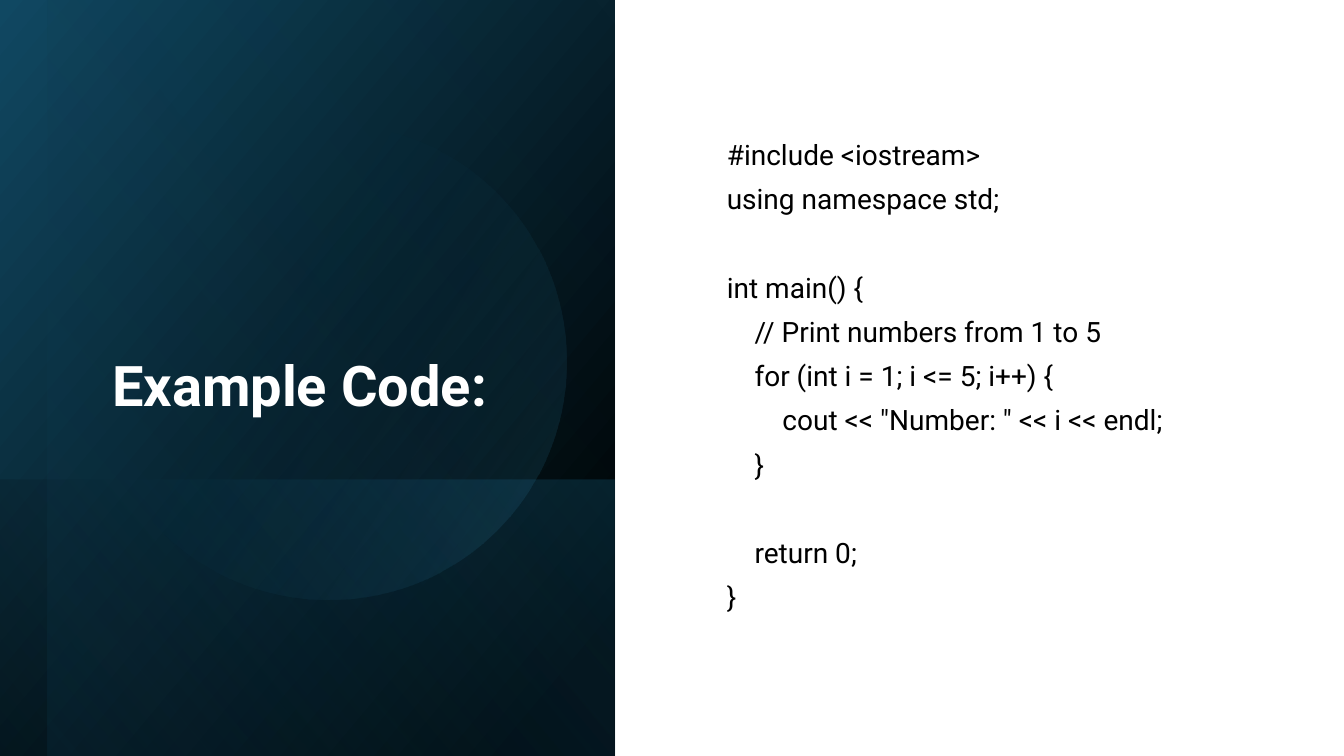
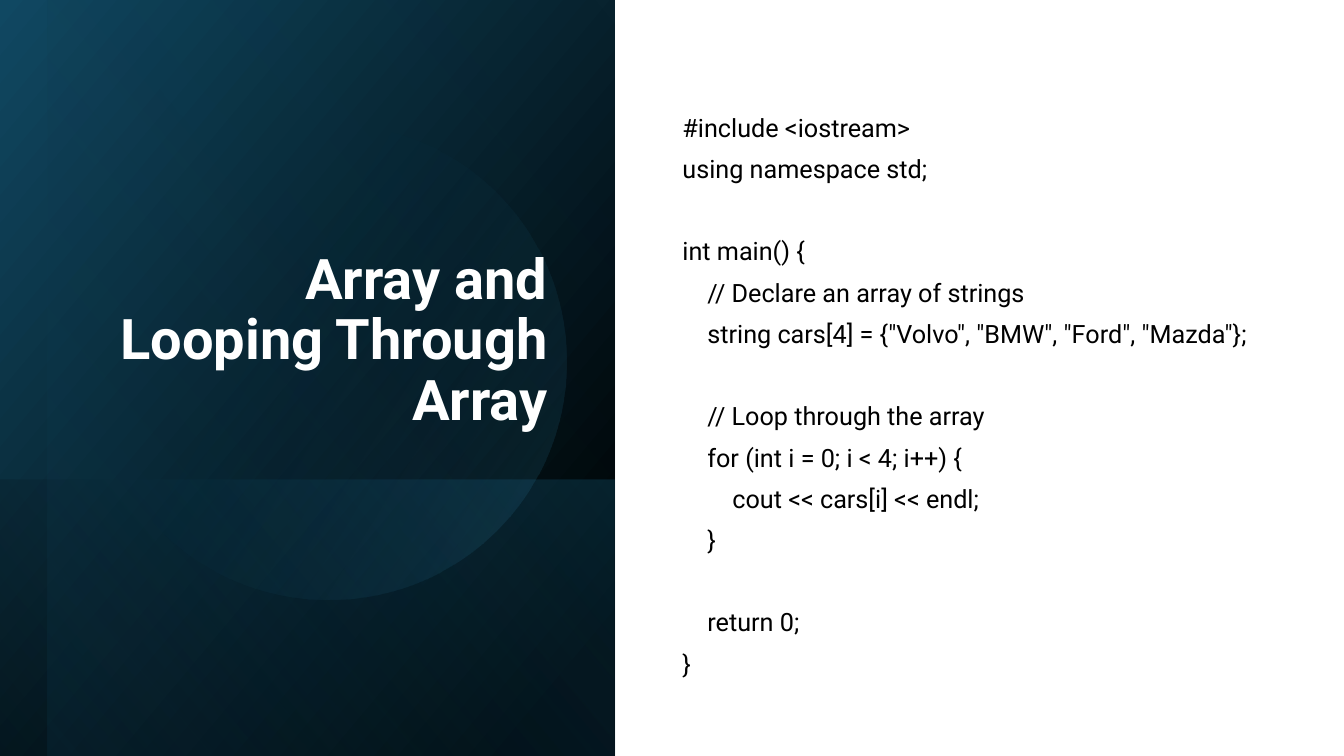
"""Build two code-example slides with a shared gradient side panel."""
import lxml.etree
import pptx
import pptx.dml.color
import pptx.enum.shapes
import pptx.enum.text
import pptx.oxml.ns
import pptx.util
from pptx.util import Inches, Pt

THEME = {
    "font": "Roboto",
    "black": "000000",
    "white": "FFFFFF",
    "navy": "104862",
    "teal": "156082",
    "sky": "46B1E1",
    "title_size": 40,
    "line_spacing": 0.9,
    "line_height": 1.08,
    "paragraph_gap": 10,
}

RECTANGLE = pptx.enum.shapes.MSO_SHAPE.RECTANGLE
OVAL = pptx.enum.shapes.MSO_SHAPE.OVAL

PANEL = [
    {"kind": RECTANGLE, "at": (0, 0, 6.1, 7.5), "angle": 220,
     "stops": [(0.08, "black", 100), (1, "navy", 100)]},
    {"kind": RECTANGLE, "at": (0, 4.76, 6.09, 2.74), "angle": 140,
     "stops": [(0.02, "teal", 29), (1, "black", 30)]},
    {"kind": RECTANGLE, "at": (0.47, 0, 5.63, 7.5), "angle": 140,
     "stops": [(0, "black", 0), (0.99, "teal", 11)]},
    {"kind": OVAL, "at": (0.9, 1.23, 4.72, 4.72), "angle": 31.6,
     "stops": [(0.39, "teal", 0), (1, "sky", 15)]},
]

SLIDES = [
    {
        "title": "Example Code:",
        "title_at": (0.9, 3.07, 4.03, 1.13),
        "code_at": (7.11, 0.71, 5.32, 6.07),
        "code_size": 20,
        "code": """#include <iostream>
using namespace std;

int main() {
    // Print numbers from 1 to 5
    for (int i = 1; i <= 5; i++) {
        cout << "Number: " << i << endl;
    }

    return 0;
}""",
    },
    {
        "title": "Array and Looping Through Array",
        "title_at": (0.9, 0.64, 4.63, 3.7),
        "code_at": (6.67, 0.81, 6.19, 6.26),
        "code_size": 18,
        "code": """#include <iostream>
using namespace std;

int main() {
    // Declare an array of strings
    string cars[4] = {"Volvo", "BMW", "Ford", "Mazda"};

    // Loop through the array
    for (int i = 0; i < 4; i++) {
        cout << cars[i] << endl;
    }

    return 0;
}""",
    },
]


def apply(target, values):
    """Set each named attribute on the target."""
    for name, value in values.items():
        setattr(target, name, value)


def rgb(name):
    """Return a theme colour."""
    return pptx.dml.color.RGBColor.from_string(THEME[name])


def place(box, at):
    """Position a shape from lengths in inches."""
    apply(box, dict(zip(("left", "top", "width", "height"), map(Inches, at))))


def prepare_frame(box, anchor):
    """Set up a text frame that wraps and keeps its size."""
    apply(box.text_frame, {
        "word_wrap": True,
        "auto_size": pptx.enum.text.MSO_AUTO_SIZE.NONE,
        "vertical_anchor": anchor,
    })
    return box.text_frame


def write_line(para, text, size, color, bold=False, **layout):
    """Write one formatted paragraph."""
    apply(para, {"line_spacing": THEME["line_spacing"], **layout})
    span = para.add_run()
    span.text = text
    apply(span.font, {"name": THEME["font"], "size": Pt(size), "bold": bold})
    span.font.color.rgb = rgb(color)


def add_panel(page, title):
    """Draw the gradient panel behind the title."""
    for part in PANEL:
        shape = page.shapes.add_shape(part["kind"], *map(Inches, part["at"]))
        shape.shadow.inherit = False
        shape.line.fill.background()
        shape.fill.gradient()
        shape.fill.gradient_angle = 360 - part["angle"]
        for stop, (position, color, opacity) in zip(shape.fill.gradient_stops, part["stops"]):
            stop.position = position
            stop.color.rgb = rgb(color)
        colors = shape.element.spPr.iter(pptx.oxml.ns.qn("a:srgbClr"))
        for element, (position, color, opacity) in zip(colors, part["stops"]):
            if opacity < 100:
                alpha = lxml.etree.SubElement(element, pptx.oxml.ns.qn("a:alpha"))
                alpha.set("val", str(opacity * 1000))
        title.element.addprevious(shape.element)


def add_title(page, content):
    """Format the title placeholder."""
    title = page.shapes.title
    place(title, content["title_at"])
    frame = prepare_frame(title, pptx.enum.text.MSO_ANCHOR.BOTTOM)
    write_line(frame.paragraphs[0], content["title"], THEME["title_size"], "white",
               bold=True, alignment=pptx.enum.text.PP_ALIGN.RIGHT)
    return title


def add_code(page, content):
    """Write the listing, turning empty lines into paragraph spacing."""
    box = page.shapes.add_textbox(*map(Inches, content["code_at"]))
    frame = prepare_frame(box, pptx.enum.text.MSO_ANCHOR.MIDDLE)
    size, gap = content["code_size"], THEME["paragraph_gap"]
    para, space = frame.paragraphs[0], 0
    for line in content["code"].splitlines():
        if not line:
            space += gap + size * THEME["line_height"]
            continue
        para = para or frame.add_paragraph()
        write_line(para, line, size, "black", space_before=Pt(space))
        para, space = None, gap


def main():
    """Build and save the deck."""
    deck = pptx.Presentation()
    apply(deck, {"slide_width": Inches(13.33), "slide_height": Inches(7.5)})
    for content in SLIDES:
        page = deck.slides.add_slide(deck.slide_layouts[5])
        title = add_title(page, content)
        add_panel(page, title)
        add_code(page, content)
    deck.save("out.pptx")


if __name__ == "__main__":
    main()
